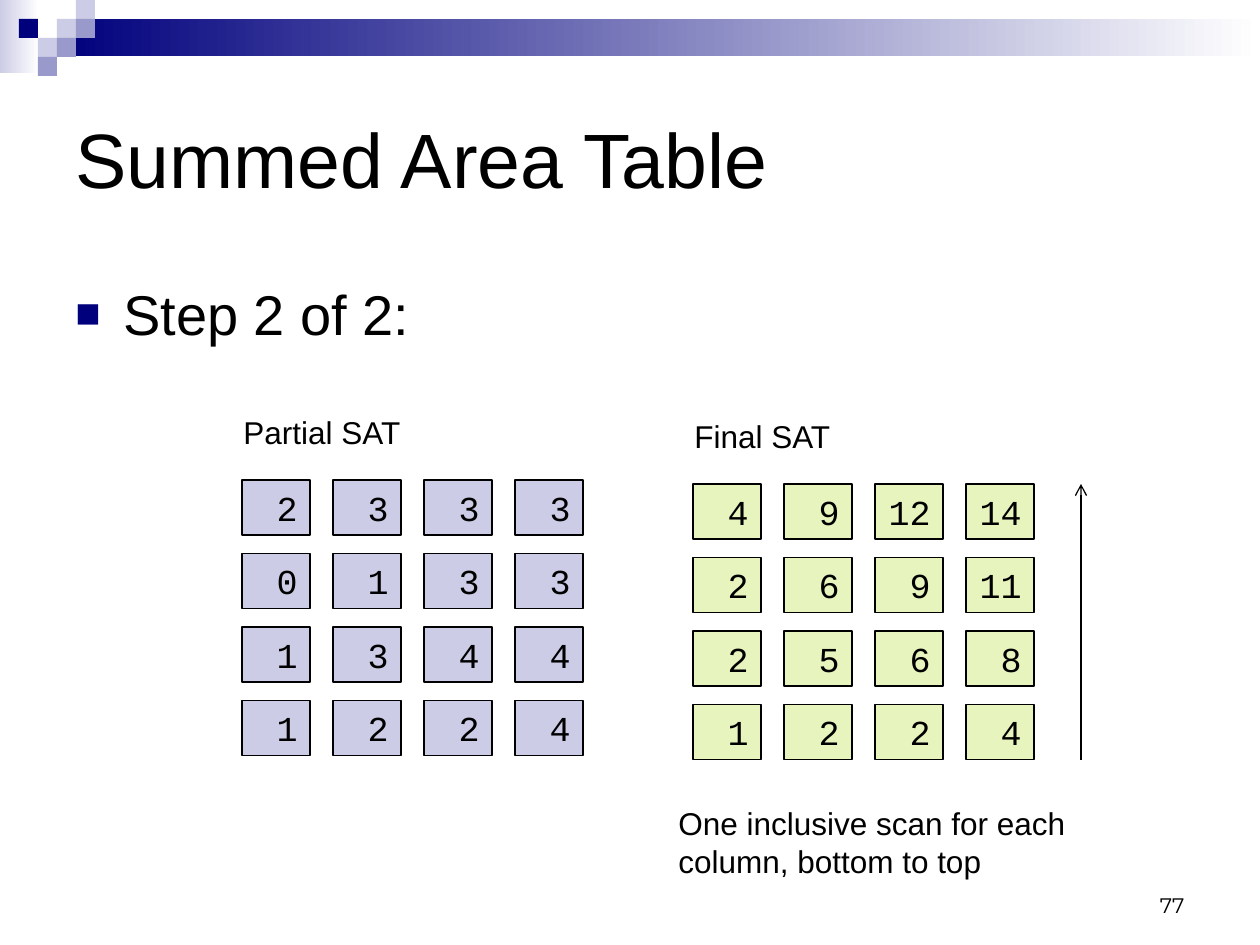
import pptx
import pptx.util
import pptx.dml.color
import pptx.enum.shapes
import pptx.enum.text
import pptx.oxml
import pptx.oxml.ns
from dataclasses import dataclass
from lxml import etree

ALIGN = pptx.enum.text.PP_ALIGN
ANCHOR = pptx.enum.text.MSO_ANCHOR
SCALE = 914400 / 126


@dataclass(frozen=True)
class Theme:
    ink: str = "000000"
    navy: str = "00007D"
    lilac: str = "CCCCE6"
    violet: str = "9999CC"
    lime: str = "E7F4BE"
    white: str = "FFFFFF"
    sans: str = "Arial"
    mono: str = "Courier New"
    number_font: str = "Montserrat"
    title: int = 44
    body: int = 32
    cell: int = 20
    label: int = 18
    number: int = 12
    line: float = 0.75


THEME = Theme()
PARTIAL_SAT = [[2, 3, 3, 3], [0, 1, 3, 3], [1, 3, 4, 4], [1, 2, 2, 4]]
FINAL_SAT = [[4, 9, 12, 14], [2, 6, 9, 11], [2, 5, 6, 8], [1, 2, 2, 4]]
# Header squares as (column, row, colour) on a 19-pixel grid
SQUARES = [
    (3, 1, THEME.lilac), (4, 0, THEME.lilac), (4, 1, THEME.violet),
    (2, 2, THEME.lilac), (1, 1, THEME.navy), (3, 2, THEME.violet),
    (2, 3, THEME.violet),
]


def px(value):
    return pptx.util.Emu(round(value * SCALE))


def rgb(value):
    return pptx.dml.color.RGBColor.from_string(value)


def write(shape, lines, size, font=THEME.sans, align=ALIGN.LEFT,
          anchor=ANCHOR.TOP, wrap=True):
    frame = shape.text_frame
    frame.word_wrap = wrap
    frame.vertical_anchor = anchor
    for index, line in enumerate(lines):
        para = frame.paragraphs[0] if index == 0 else frame.add_paragraph()
        para.alignment = align
        span = para.add_run()
        span.text = line
        span.font.name = font
        span.font.size = pptx.util.Pt(size)
        span.font.color.rgb = rgb(THEME.ink)
    return frame


def add_text(page, x, y, width, height, lines, size, **style):
    box = page.shapes.add_textbox(px(x), px(y), px(width), px(height))
    return write(box, lines, size, **style)


def add_rect(page, x, y, width, height, *colours):
    """One colour gives a solid fill, two give a left-to-right gradient."""
    kind = pptx.enum.shapes.MSO_SHAPE.RECTANGLE
    rect = page.shapes.add_shape(kind, px(x), px(y), px(width), px(height))
    rect.shadow.inherit = False
    rect.line.fill.background()
    if len(colours) == 1:
        rect.fill.solid()
        rect.fill.fore_color.rgb = rgb(colours[0])
    else:
        rect.fill.gradient()
        rect.fill.gradient_angle = 0
        for stop, colour in zip(rect.fill.gradient_stops, colours):
            stop.color.rgb = rgb(colour)
    return rect


def add_header(page):
    add_rect(page, 0, 0, 39, 73, THEME.lilac, THEME.white)
    add_rect(page, 57, 19, 1203, 37, THEME.navy, THEME.white)
    for column, row, colour in SQUARES:
        add_rect(page, column * 19, row * 19, 19, 19, colour)


def add_title(page, text):
    title = page.shapes.title
    title.left, title.top = px(63), px(63)
    title.width, title.height = px(1134), px(189)
    write(title, [text], THEME.title, anchor=ANCHOR.MIDDLE)


def add_bullet(page, text):
    frame = add_text(page, 63, 273, 368, 71, [text], THEME.body)
    props = frame.paragraphs[0]._p.get_or_add_pPr()
    props.set("marL", str(px(48)))
    props.set("indent", str(-px(48)))
    parts = pptx.oxml.parse_xml(
        f'<a:pPr {pptx.oxml.ns.nsdecls("a")}>'
        '<a:spcBef><a:spcPct val="20000"/></a:spcBef>'
        f'<a:buClr><a:srgbClr val="{THEME.navy}"/></a:buClr>'
        '<a:buSzPct val="75000"/><a:buFont typeface="Arial"/>'
        '<a:buChar char="\u25a0"/></a:pPr>')
    props.extend(list(parts))


def add_matrix(page, x, y, label, values, colour):
    add_text(page, x - 11, y - 73, 184, 50, [label], THEME.label, wrap=False)
    for row, numbers in enumerate(values):
        for column, number in enumerate(numbers):
            cell = add_rect(page, x + column * 91, y + row * 73.5, 68, 55, colour)
            cell.line.color.rgb = rgb(THEME.ink)
            cell.line.width = pptx.util.Pt(THEME.line)
            frame = write(cell, [str(number)], THEME.cell, font=THEME.mono,
                          align=ALIGN.RIGHT)
            frame.margin_left = 0


def add_arrow(page, x1, y1, x2, y2):
    arrow = page.shapes.add_connector(
        pptx.enum.shapes.MSO_CONNECTOR.STRAIGHT, px(x1), px(y1), px(x2), px(y2))
    arrow.line.color.rgb = rgb(THEME.ink)
    arrow.line.width = pptx.util.Pt(THEME.line)
    tip = etree.SubElement(arrow.line._get_or_add_ln(), pptx.oxml.ns.qn("a:tailEnd"))
    tip.set("type", "arrow")
    etree.SubElement(arrow._element.spPr, pptx.oxml.ns.qn("a:effectLst"))


def main():
    deck = pptx.Presentation()
    deck.slide_width, deck.slide_height = px(1260), px(945)
    page = deck.slides.add_slide(deck.slide_layouts.get_by_name("Title Only"))

    # Header and headings
    add_header(page)
    add_title(page, "Summed Area Table")
    add_bullet(page, "Step 2 of 2:")

    # The two tables and the scan direction
    add_matrix(page, 242, 480, "Partial SAT", PARTIAL_SAT, THEME.lilac)
    add_matrix(page, 693, 484, "Final SAT", FINAL_SAT, THEME.lime)
    add_arrow(page, 1081, 760, 1081, 484)
    add_text(page, 666, 798, 416, 89,
             ["One inclusive scan for each", "column, bottom to top"],
             THEME.label, wrap=False)

    # Page number
    add_text(page, 903, 861, 294, 63, ["77"], THEME.number,
             font=THEME.number_font, align=ALIGN.RIGHT, anchor=ANCHOR.BOTTOM)

    deck.save("out.pptx")


main()
